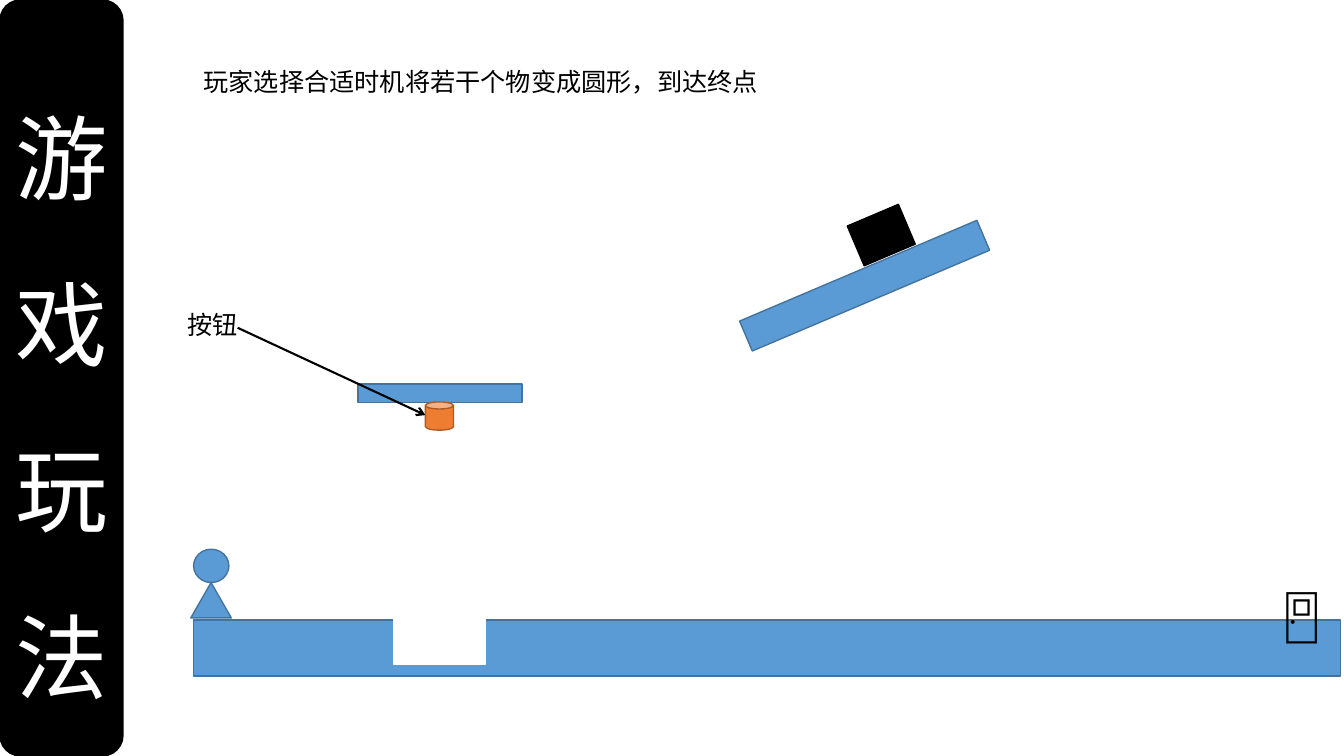
from lxml import etree
from pptx import Presentation
from pptx.dml.color import RGBColor
from pptx.enum.shapes import MSO_CONNECTOR, MSO_SHAPE
from pptx.enum.text import MSO_ANCHOR, MSO_AUTO_SIZE, PP_ALIGN
from pptx.oxml.ns import qn
from pptx.util import Cm, Pt

RECTANGLE, ROUNDED = MSO_SHAPE.RECTANGLE, MSO_SHAPE.ROUNDED_RECTANGLE
OVAL, TRIANGLE = MSO_SHAPE.OVAL, MSO_SHAPE.ISOSCELES_TRIANGLE
MINUS, CAN = MSO_SHAPE.MATH_MINUS, MSO_SHAPE.CAN
STRAIGHT = MSO_CONNECTOR.STRAIGHT
TOP, MIDDLE = MSO_ANCHOR.TOP, MSO_ANCHOR.MIDDLE
NO_FIT = MSO_AUTO_SIZE.NONE
LEFT, CENTER = PP_ALIGN.LEFT, PP_ALIGN.CENTER

FONT = "Noto Sans CJK SC"
COLORS = {
    "black": "000000",
    "white": "FFFFFF",
    "blue": "5B9BD5",
    "blue edge": "43739E",
    "orange": "ED7D31",
    "orange edge": "AF5C24",
}
TILT = 337


class LevelSketch:
    def __init__(self, page):
        self.shapes = page.shapes
        page.background.fill.solid()
        page.background.fill.fore_color.rgb = self.color("white")

    def color(self, name):
        return RGBColor.from_string(COLORS[name])

    def apply(self, target, values):
        for name, value in values.items():
            setattr(target, name, value)

    def shape(self, kind, place, fill="blue", edge="blue edge", rotation=0):
        shape = self.shapes.add_shape(kind, *map(Cm, place))
        shape.shadow.inherit = False
        shape.rotation = rotation
        shape.fill.solid()
        shape.fill.fore_color.rgb = self.color(fill)
        shape.line.color.rgb = self.color(edge)
        shape.line.width = Pt(1)
        return shape

    def set_text(self, box, lines, size, color="black", align=LEFT, anchor=TOP, spacing=1):
        frame = box.text_frame
        frame.text = "\n".join(lines)
        frame_format = {"word_wrap": True, "auto_size": NO_FIT, "vertical_anchor": anchor}
        para_format = {"alignment": align, "line_spacing": spacing}
        font_format = {"size": Pt(size), "name": FONT}
        self.apply(frame, frame_format)
        for para in frame.paragraphs:
            self.apply(para, para_format)
            for span in para.runs:
                self.apply(span.font, font_format)
                span.font.color.rgb = self.color(color)
        for properties in box.element.iter(qn("a:rPr")):
            etree.SubElement(properties, qn("a:ea"), typeface=FONT)

    def title(self, lines, place):
        bar = self.shape(ROUNDED, place, "black", "black")
        title = self.shapes.title
        title.element.addprevious(bar.element)
        self.apply(title, dict(zip(("left", "top", "width", "height"), map(Cm, place))))
        self.set_text(title, lines, 66, "white", CENTER, MIDDLE, 1.5)

    def text(self, words, place, size=18):
        self.set_text(self.shapes.add_textbox(*map(Cm, place)), [words], size)

    def arrow(self, ends):
        arrow = self.shapes.add_connector(STRAIGHT, *map(Cm, ends))
        arrow.line.color.rgb = self.color("black")
        arrow.line.width = Pt(1.5)
        properties = arrow.element.spPr
        etree.SubElement(properties.find(qn("a:ln")), qn("a:tailEnd"), type="arrow")
        etree.SubElement(properties, qn("a:effectLst"))

    def group(self, *members):
        self.shapes.add_group_shape(members)


def main():
    deck = Presentation()
    deck.slide_width, deck.slide_height = Cm(33.87), Cm(19.05)
    sketch = LevelSketch(deck.slides.add_slide(deck.slide_layouts[5]))

    sketch.title(["游", "戏", "玩法"], (0, 0, 3.1, 19.05))
    sketch.text("玩家选择合适时机将若干个物变成圆形，到达终点", (4.88, 1.55, 25.83, 1.02))

    head = sketch.shape(OVAL, (4.88, 13.84, 0.89, 0.84))
    body = sketch.shape(TRIANGLE, (4.81, 14.68, 1.02, 0.89))
    sketch.group(head, body)

    sketch.shape(MINUS, (17.37, 5.46, 8.84, 3.48), rotation=TILT)
    sketch.shape(RECTANGLE, (21.51, 5.38, 1.4, 1.09), "black", "black", TILT)

    sketch.shape(RECTANGLE, (4.88, 15.62, 28.91, 1.42))
    sketch.text("🚪", (32.11, 14.45, 1.96, 1.96), 40)
    sketch.shape(RECTANGLE, (9.93, 14.86, 2.29, 1.88), "white", "white")

    platform = sketch.shape(RECTANGLE, (9.02, 9.68, 4.14, 0.46))
    button = sketch.shape(CAN, (10.72, 10.13, 0.71, 0.71), "orange", "orange edge")
    sketch.group(platform, button)
    sketch.text("按钮", (4.47, 7.67, 2.26, 1.02))
    sketch.arrow((5.99, 8.26, 10.72, 10.46))

    deck.save("out.pptx")


if __name__ == "__main__":
    main()
